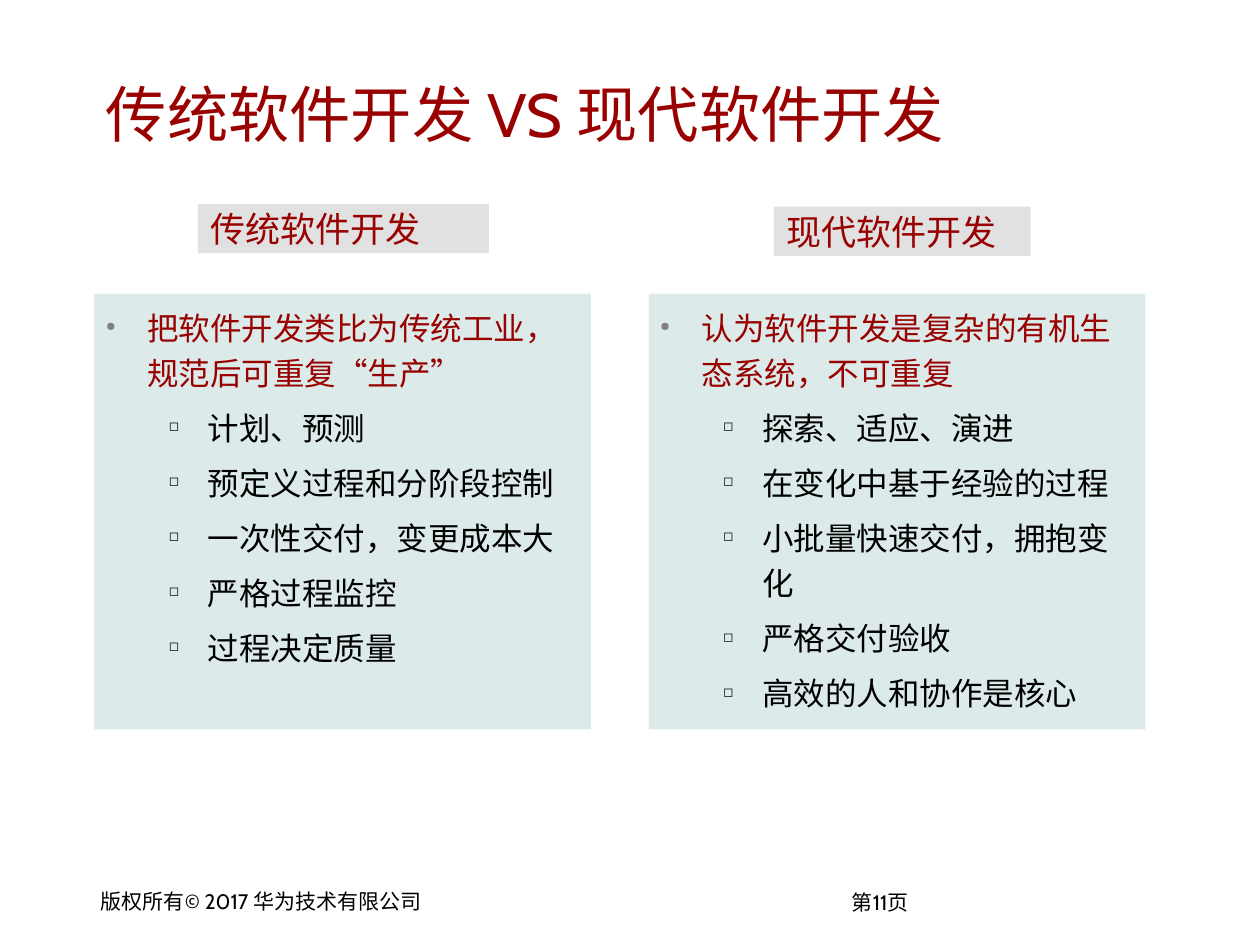
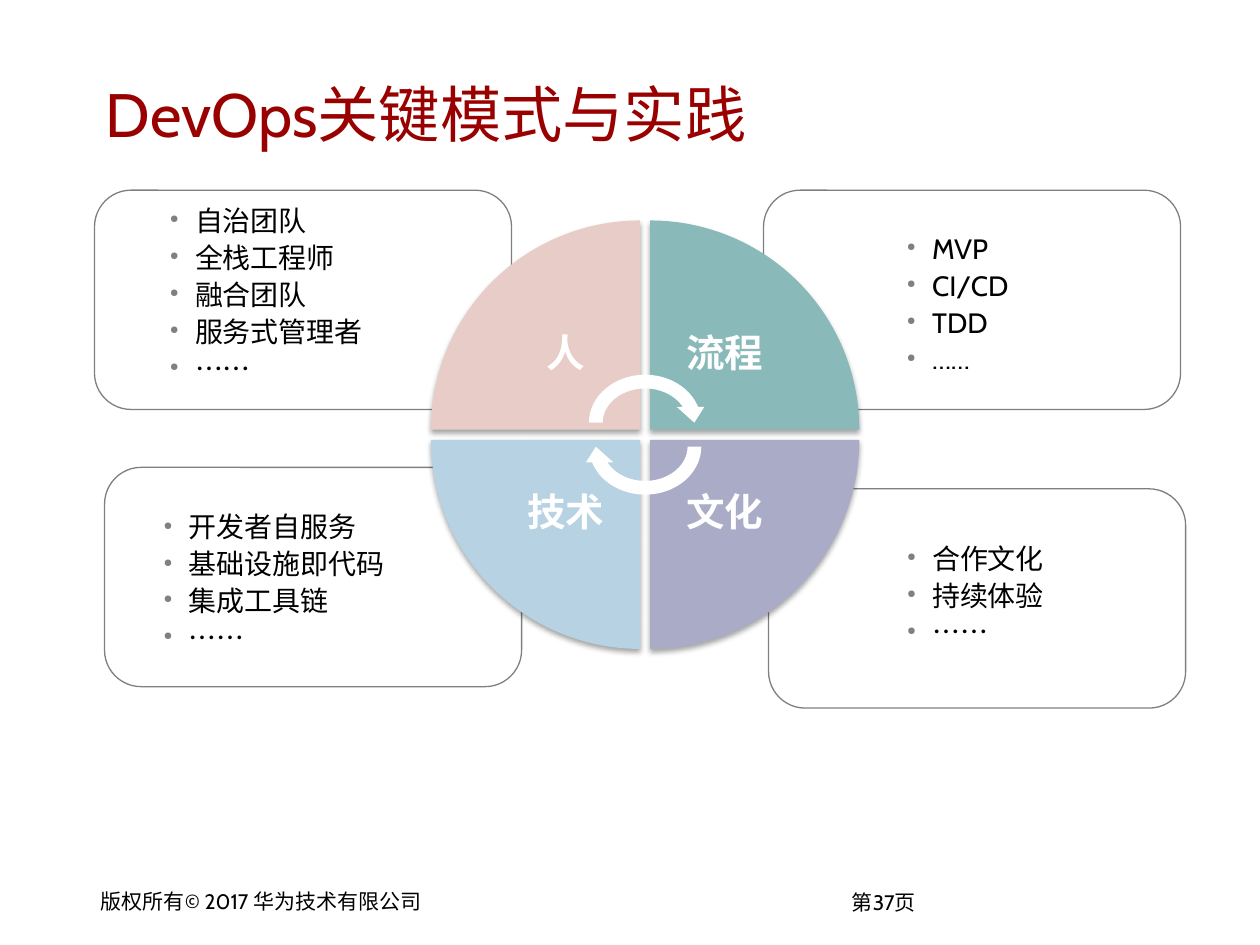
from typing import NamedTuple

from lxml import etree
from pptx import Presentation
from pptx.dml.color import RGBColor
from pptx.enum.shapes import MSO_SHAPE
from pptx.enum.text import MSO_ANCHOR, PP_ALIGN
from pptx.oxml.ns import qn
from pptx.util import Inches, Pt

RECTANGLE = MSO_SHAPE.RECTANGLE
ROUNDED = MSO_SHAPE.ROUNDED_RECTANGLE
WEDGE = MSO_SHAPE.PIE_WEDGE
CIRCULAR_ARROW = MSO_SHAPE.CIRCULAR_ARROW
TOP, MIDDLE = MSO_ANCHOR.TOP, MSO_ANCHOR.MIDDLE
LEFT, CENTER = PP_ALIGN.LEFT, PP_ALIGN.CENTER

LATIN, CHINESE = "Cabin", "Noto Sans CJK SC"
DARK_RED, BLACK, WHITE, GREY = "990000", "000000", "FFFFFF", "808080"
PANEL_FILL = "DCEAEA"
COPYRIGHT = "版权所有© 2017 华为技术有限公司"


class Box(NamedTuple):
    left: float
    top: float
    width: float
    height: float


class Style(NamedTuple):
    size: float
    color: str
    font: str = CHINESE
    bold: bool = False


class Bullet(NamedTuple):
    char: str
    color: str
    percent: int
    margin: float
    hanging: float


class Column(NamedTuple):
    header: str
    header_box: Box
    panel_left: float
    idea: str
    practices: list[str]


class Quadrant(NamedTuple):
    name: str
    col: int
    row: int
    rotation: int
    fill: str


class Practices(NamedTuple):
    frame_at: tuple[float, float]
    list_box: Box
    items: list[str]
    font: str = CHINESE


TITLE_BOX = Box(0.75, 0.42, 8.44, 0.95)
TITLE_STYLE = Style(35, DARK_RED)
FOOTER_STYLE = Style(12, BLACK, LATIN)
HEADER_STYLE = Style(20, DARK_RED)
IDEA_STYLE = Style(18, DARK_RED)
PRACTICE_STYLE = Style(18, BLACK)
QUADRANT_STYLE = Style(22, WHITE, bold=True)

IDEA_BULLET = Bullet("●", GREY, 40, 0.33, 0.33)
PRACTICE_BULLET = Bullet("◻", BLACK, 40, 0.81, 0.31)
LIST_BULLET = Bullet("●", GREY, 40, 0.23, 0.2)

COLUMNS = [
    Column("传统软件开发", Box(1.57, 1.62, 2.31, 0.39), 0.75,
           "把软件开发类比为传统工业，规范后可重复“生产”",
           ["计划、预测", "预定义过程和分阶段控制", "一次性交付，变更成本大",
            "严格过程监控", "过程决定质量"]),
    Column("现代软件开发", Box(6.14, 1.64, 2.04, 0.39), 5.15,
           "认为软件开发是复杂的有机生态系统，不可重复",
           ["探索、适应、演进", "在变化中基于经验的过程", "小批量快速交付，拥抱变化",
            "严格交付验收", "高效的人和协作是核心"]),
]

WHEEL_CENTER = (5.12, 3.45)
WHEEL_GAP, WEDGE_SIZE, LABEL_SIZE = 0.08, 1.66, 1.18
QUADRANTS = [
    Quadrant("人", 0, 0, 0, "E7CCC7"),
    Quadrant("流程", 1, 0, 90, "8AB9B9"),
    Quadrant("文化", 1, 1, 180, "AAABC6"),
    Quadrant("技术", 0, 1, 270, "B7D2E3"),
]

FRAME_SIZE = (3.31, 1.74)
PRACTICE_LISTS = [
    Practices((6.06, 1.51), Box(7.07, 1.76, 1.7, 1.39),
              ["MVP", "CI/CD", "TDD", "……"], LATIN),
    Practices((6.1, 3.88), Box(7.07, 4.22, 2.08, 1.07),
              ["合作文化", "持续体验", "……"]),
    Practices((0.83, 3.71), Box(1.17, 3.97, 2.25, 1.39),
              ["开发者自服务", "基础设施即代码", "集成工具链", "……"]),
    Practices((0.75, 1.51), Box(1.22, 1.54, 2, 1.71),
              ["自治团队", "全栈工程师", "融合团队", "服务式管理者", "……"]),
]


def rgb(value: str) -> RGBColor:
    return RGBColor.from_string(value)


def inches(box: Box) -> list:
    return [Inches(length) for length in box]


def child(parent, tag: str, **attributes):
    element = etree.SubElement(parent, qn(tag))
    for key, value in attributes.items():
        element.set(key, str(value))
    return element


def set_opacity(shape, percent: int) -> None:
    """Make every direct colour of the shape's fill and line translucent."""
    for color in shape._element.spPr.iter(qn("a:srgbClr")):
        child(color, "a:alpha", val=percent * 1000)


def add_soft_shadow(shape) -> None:
    effects = shape._element.spPr.find(qn("a:effectLst"))
    shadow = child(effects, "a:outerShdw", blurRad=Pt(3.1), dist=Pt(1.8),
                   dir=5400000, rotWithShape=0)
    child(child(shadow, "a:srgbClr", val=BLACK), "a:alpha", val=35000)


def add_shape(slide, kind, box: Box, fill: str | None = None,
              line: str | None = None, rotation: int = 0):
    shape = slide.shapes.add_shape(kind, *inches(box))
    shape.shadow.inherit = False
    shape.rotation = rotation
    if fill:
        shape.fill.solid()
        shape.fill.fore_color.rgb = rgb(fill)
    else:
        shape.fill.background()
    if line:
        shape.line.color.rgb = rgb(line)
        shape.line.width = Pt(0.75)
    else:
        shape.line.fill.background()
    return shape


def set_frame(shape, anchor=TOP, side: float = 0.1, top: float = 0.05):
    frame = shape.text_frame
    settings = {"word_wrap": True, "vertical_anchor": anchor,
                "margin_left": Inches(side), "margin_right": Inches(side),
                "margin_top": Inches(top), "margin_bottom": Inches(top)}
    for name, value in settings.items():
        setattr(frame, name, value)
    return frame


def add_run(paragraph, text: str, style: Style) -> None:
    run = paragraph.add_run()
    run.text = text
    settings = {"size": Pt(style.size), "name": style.font, "bold": style.bold}
    for name, value in settings.items():
        setattr(run.font, name, value)
    run.font.color.rgb = rgb(style.color)
    child(run._r.get_or_add_rPr(), "a:ea", typeface=style.font)


def add_bullet(paragraph, bullet: Bullet) -> None:
    properties = paragraph._p.get_or_add_pPr()
    properties.set("marL", str(Inches(bullet.margin)))
    properties.set("indent", str(-Inches(bullet.hanging)))
    child(child(properties, "a:buClr"), "a:srgbClr", val=bullet.color)
    child(properties, "a:buSzPct", val=bullet.percent * 1000)
    child(properties, "a:buChar", char=bullet.char)


def write(frame, text: str, style: Style, bullet: Bullet | None = None,
          align=LEFT, spacing: float = 1.0, before: float = 0) -> None:
    """Fill the empty first paragraph, or add another one below the text."""
    first = frame.paragraphs[0]
    is_first = not first.runs
    paragraph = first if is_first else frame.add_paragraph()
    if bullet:
        add_bullet(paragraph, bullet)
    paragraph.alignment = align
    paragraph.line_spacing = spacing
    paragraph.space_before = Pt(0 if is_first else before)
    add_run(paragraph, text, style)


def add_text(slide, box: Box, **frame_settings):
    return set_frame(slide.shapes.add_textbox(*inches(box)), **frame_settings)


def start_slide(deck, title_parts: list[tuple[str, str]], page: int):
    """Add a slide with its title, copyright line and page number."""
    slide = deck.slides.add_slide(deck.slide_layouts[5])
    title = slide.shapes.title
    title.left, title.top, title.width, title.height = inches(TITLE_BOX)
    paragraph = set_frame(title, MIDDLE, 0.09, 0.04).paragraphs[0]
    paragraph.alignment = LEFT
    for text, font in title_parts:
        add_run(paragraph, text, TITLE_STYLE._replace(font=font))
    for box, text in [(Box(6.67, 7.02, 0.72, 0.29), f"第{page}页"),
                      (Box(0.71, 7.01, 2.79, 0.29), COPYRIGHT)]:
        write(add_text(slide, box, side=0.09, top=0.04), text, FOOTER_STYLE)
    return slide


def add_column(slide, column: Column) -> None:
    header = add_shape(slide, RECTANGLE, column.header_box, GREY)
    set_opacity(header, 23)
    write(set_frame(header, MIDDLE), column.header, HEADER_STYLE)

    panel = add_shape(slide, RECTANGLE, Box(column.panel_left, 2.33, 3.94, 3.46),
                      PANEL_FILL)
    frame = set_frame(panel, side=0.09, top=0.06)
    write(frame, column.idea, IDEA_STYLE, IDEA_BULLET, spacing=1.2)
    for practice in column.practices:
        write(frame, practice, PRACTICE_STYLE, PRACTICE_BULLET,
              spacing=1.2, before=5.5)


def quadrant_box(quadrant: Quadrant, size: float) -> Box:
    """Square that touches the wheel's central gap from its own quadrant."""
    left, top = (center + (WHEEL_GAP / 2 if side else -WHEEL_GAP / 2 - size)
                 for center, side in zip(WHEEL_CENTER, (quadrant.col, quadrant.row)))
    return Box(left, top, size, size)


def add_wheel(slide) -> None:
    for quadrant in QUADRANTS:
        wedge = add_shape(slide, WEDGE, quadrant_box(quadrant, WEDGE_SIZE),
                          quadrant.fill, rotation=quadrant.rotation)
        add_soft_shadow(wedge)
        label = add_text(slide, quadrant_box(quadrant, LABEL_SIZE),
                         anchor=MIDDLE, side=0.17, top=0.17)
        write(label, quadrant.name, QUADRANT_STYLE, align=CENTER, spacing=0.9)
    for top, rotation in [(2.92, 0), (3.11, 180)]:
        add_shape(slide, CIRCULAR_ARROW, Box(4.62, top, 1, 0.87), WHITE,
                  rotation=rotation)


def build_comparison(deck) -> None:
    slide = start_slide(deck, [("传统软件开发 ", CHINESE), ("VS ", LATIN),
                               ("现代软件开发", CHINESE)], 11)
    for column in COLUMNS:
        add_column(slide, column)


def build_devops(deck) -> None:
    slide = start_slide(deck, [("DevOps", LATIN), ("关键模式与实践", CHINESE)], 37)
    for practices in PRACTICE_LISTS:
        frame = add_shape(slide, ROUNDED, Box(*practices.frame_at, *FRAME_SIZE),
                          line=BLACK)
        set_opacity(frame, 50)
    add_wheel(slide)
    for practices in PRACTICE_LISTS:
        frame = add_text(slide, practices.list_box)
        for item in practices.items:
            write(frame, item, Style(16, BLACK, practices.font), LIST_BULLET,
                  spacing=1.1)


def main() -> None:
    deck = Presentation()
    deck.slide_width, deck.slide_height = Inches(10), Inches(7.5)
    build_comparison(deck)
    build_devops(deck)
    deck.save("out.pptx")


if __name__ == "__main__":
    main()
